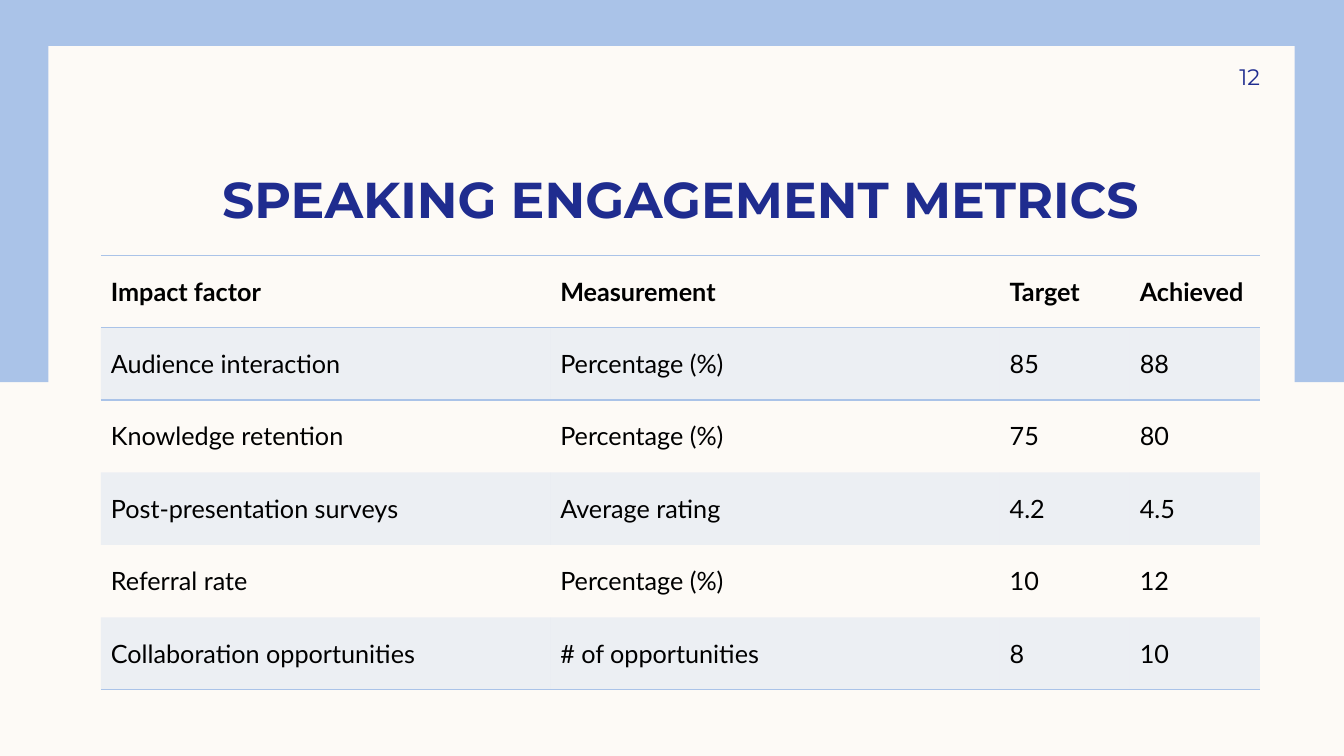
from lxml import etree
from pptx import Presentation
from pptx.dml.color import RGBColor
from pptx.enum.shapes import MSO_SHAPE
from pptx.enum.text import MSO_ANCHOR, PP_ALIGN
from pptx.oxml.ns import qn
from pptx.util import Pt

PX = 9525
CREAM = RGBColor(0xFD, 0xFA, 0xF6)
SKY = RGBColor(0xAA, 0xC3, 0xE8)
NAVY = RGBColor(0x1F, 0x2C, 0x8F)
BLACK = RGBColor(0, 0, 0)
RECTANGLE = MSO_SHAPE.RECTANGLE
MIDDLE, BOTTOM = MSO_ANCHOR.MIDDLE, MSO_ANCHOR.BOTTOM
LEFT, CENTER, RIGHT = PP_ALIGN.LEFT, PP_ALIGN.CENTER, PP_ALIGN.RIGHT
PLAIN_TABLE_STYLE = "{2D5ABB26-0587-4C30-8999-92F81FD0307C}"

COLUMN_WIDTHS = (428, 428, 124, 124)
ROW_HEIGHT = 69
METRICS = (
    ("Impact factor", "Measurement", "Target", "Achieved"),
    ("Audience interaction", "Percentage (%)", "85", "88"),
    ("Knowledge retention", "Percentage (%)", "75", "80"),
    ("Post-presentation surveys", "Average rating", "4.2", "4.5"),
    ("Referral rate", "Percentage (%)", "10", "12"),
    ("Collaboration opportunities", "# of opportunities", "8", "10"),
)


def px(*lengths):
    return [length * PX for length in lengths]


def add_panel(page, bounds, color):
    panel = page.shapes.add_shape(RECTANGLE, *px(*bounds))
    panel.shadow.inherit = False
    panel.fill.solid()
    panel.fill.fore_color.rgb = color
    panel.line.fill.background()


def write(frame, text, font, size, color, bold, align):
    frame.text = text
    para = frame.paragraphs[0]
    para.alignment = align
    para.font.name = font
    para.font.size = Pt(size)
    para.font.color.rgb = color
    para.font.bold = bold


def set_margins(frame, left, top, right, bottom):
    frame.margin_left, frame.margin_top, frame.margin_right, frame.margin_bottom = px(
        left, top, right, bottom)


def place_title(page, bounds, text):
    title = page.shapes.title
    title.left, title.top, title.width, title.height = px(*bounds)
    frame = title.text_frame
    frame.word_wrap = True
    frame.vertical_anchor = BOTTOM
    set_margins(frame, 10, 0, 10, 0)
    write(frame, text, "Montserrat", 36, NAVY, True, CENTER)
    page.shapes.element.append(title.element)


def add_page_number(page, bounds, number):
    frame = page.shapes.add_textbox(*px(*bounds)).text_frame
    frame.word_wrap = True
    frame.vertical_anchor = MIDDLE
    set_margins(frame, 10, 5, 0, 5)
    write(frame, number, "Montserrat", 16, NAVY, False, RIGHT)


def add_solid(parent, color):
    solid = etree.SubElement(parent, qn("a:solidFill"))
    return etree.SubElement(solid, qn("a:srgbClr"), val=str(color))


def add_rule(properties, side):
    rule = etree.SubElement(properties, qn(side), w=str(Pt(1)))
    add_solid(rule, SKY)


def style_cell(cell, row, last_row):
    properties = cell._tc.get_or_add_tcPr()
    if row in (0, 1):
        add_rule(properties, "a:lnT")
    if row in (0, last_row):
        add_rule(properties, "a:lnB")
    if row % 2:
        tint = add_solid(properties, SKY)
        etree.SubElement(tint, qn("a:alpha"), val="20000")
    else:
        cell.fill.background()


def add_metrics_table(page, left, top):
    bounds = px(left, top, sum(COLUMN_WIDTHS), ROW_HEIGHT * len(METRICS))
    table = page.shapes.add_table(len(METRICS), len(COLUMN_WIDTHS), *bounds).table
    table._tbl.tblPr.find(qn("a:tableStyleId")).text = PLAIN_TABLE_STYLE
    table.horz_banding = False
    for column, width in zip(table.columns, COLUMN_WIDTHS):
        column.width = width * PX
    for row, values in enumerate(METRICS):
        table.rows[row].height = ROW_HEIGHT * PX
        for column, value in enumerate(values):
            cell = table.cell(row, column)
            cell.vertical_anchor = MIDDLE
            write(cell.text_frame, value, "Lato", 18, BLACK, row == 0, LEFT)
            style_cell(cell, row, len(METRICS) - 1)


def main():
    deck = Presentation()
    deck.slide_width, deck.slide_height = px(1280, 720)
    page = deck.slides.add_slide(deck.slide_layouts[5])
    page.background.fill.solid()
    page.background.fill.fore_color.rgb = CREAM
    add_panel(page, (0, 0, 1280, 364), SKY)
    add_panel(page, (46, 44, 1187, 633), CREAM)
    place_title(page, (96, 111, 1104, 107), "SPEAKING ENGAGEMENT METRICS")
    add_metrics_table(page, 96, 243)
    add_page_number(page, (1088, 48, 112, 50), "12")
    deck.save("out.pptx")


if __name__ == "__main__":
    main()
